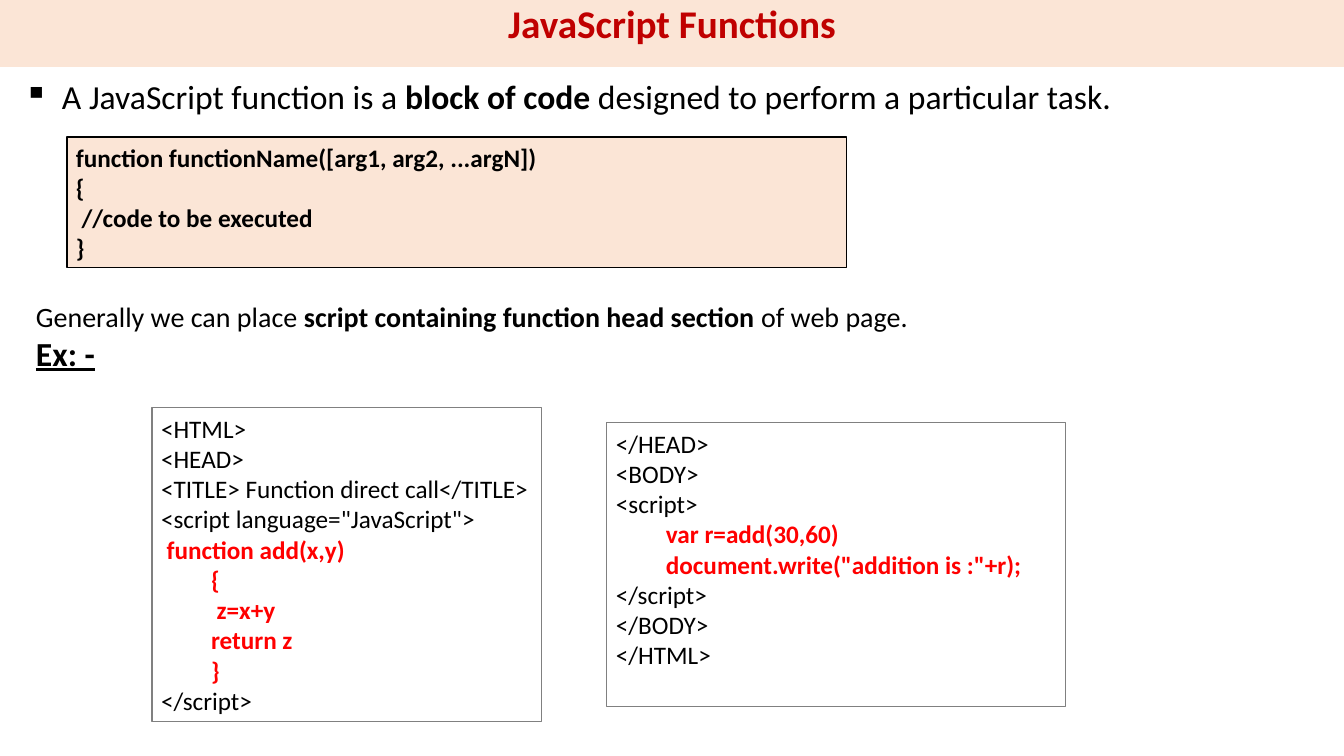
from lxml.etree import SubElement
from pptx import Presentation
from pptx.dml.color import RGBColor
from pptx.enum.shapes import MSO_SHAPE
from pptx.enum.text import MSO_ANCHOR, PP_ALIGN
from pptx.oxml.ns import qn
from pptx.util import Pt

SCALE = 914400 / 100.8
HUES = {"black": "000000", "peach": "FBE5D6", "gray": "808080",
        "red": "FF0000", "title": "C00000"}


def px(n):
    return round(n * SCALE)


def hue(name):
    return RGBColor.from_string(HUES[name])


class Deck:
    font = "Calibri"

    def __init__(self, wide, high):
        self.file = Presentation()
        self.file.slide_width, self.file.slide_height = px(wide), px(high)
        self.slide = self.file.slides.add_slide(self.file.slide_layouts[6])

    def frame(self, shape, anchor):
        body = shape.text_frame
        body.word_wrap = True
        body.vertical_anchor = anchor
        body.margin_left = body.margin_right = px(9)
        body.margin_top = body.margin_bottom = px(5)
        return body

    def text(self, *area, anchor=MSO_ANCHOR.TOP):
        box = self.slide.shapes.add_textbox(*map(px, area))
        return self.frame(box, anchor)

    def rect(self, *area, fill=None, line=None):
        box = self.slide.shapes.add_shape(MSO_SHAPE.RECTANGLE, *map(px, area))
        box.shadow.inherit = False
        if fill:
            box.fill.solid()
            box.fill.fore_color.rgb = hue(fill)
        else:
            box.fill.background()
        if line:
            box.line.color.rgb = hue(line)
            box.line.width = Pt(0.75)
        else:
            box.line.fill.background()
        return self.frame(box, MSO_ANCHOR.TOP)

    def para(self, body, left=0, first=0, align=PP_ALIGN.LEFT):
        para = body.paragraphs[0]
        if para.runs:
            para = body.add_paragraph()
        para.alignment = align
        props = para._p.get_or_add_pPr()
        props.set("marL", str(px(left)))
        props.set("indent", str(px(first)))
        return para

    def run(self, para, words, size=18, color="black", bold=False, under=False):
        run = para.add_run()
        run.text = words
        font = run.font
        font.name, font.size, font.bold = self.font, Pt(size), bold
        font.color.rgb = hue(color)
        if under:
            font.underline = True

    def bullet(self, para, mark):
        SubElement(para._p.get_or_add_pPr(), qn("a:buChar")).set("char", mark)

    def code(self, body, lines):
        for words, step, hot in lines:
            para = self.para(body, left=50 * step)
            self.run(para, words, color="red" if hot else "black", bold=hot)

    def save(self):
        self.file.save("out.pptx")


deck = Deck(1344, 756)

intro = deck.para(deck.text(15, 71, 1292, 49), left=38, first=-38)
deck.bullet(intro, "▪")
for words, bold in [("A JavaScript function is a ", False),
                    ("block of code ", True),
                    ("designed to perform a particular task.", False)]:
    deck.run(intro, words, 24, bold=bold)

syntax = deck.rect(67, 137, 780, 131, fill="peach", line="black")
for words in ["function functionName([arg1, arg2, ...argN])", "{",
              " //code to be executed", "}"]:
    deck.run(deck.para(syntax), words, bold=True)

note = deck.text(27, 294, 1006, 84, anchor=MSO_ANCHOR.MIDDLE)
advice = deck.para(note)
for words, bold in [("Generally we can place ", False),
                    ("script containing function head section", True),
                    (" of web page.", False)]:
    deck.run(advice, words, 20, bold=bold)
deck.run(deck.para(note), "Ex: -", 24, bold=True, under=True)

deck.code(deck.rect(607, 423, 459, 284, line="gray"), [
    ("</HEAD>", 0, False),
    ("<BODY>", 0, False),
    ("<script>", 0, False),
    ("var r=add(30,60)", 1, True),
    ('document.write("addition is :"+r);', 1, True),
    ("</script>", 0, False),
    ("</BODY>", 0, False),
    ("</HTML>", 0, False),
])

head = deck.rect(152, 408, 390, 314, line="gray")
head.word_wrap = False
deck.code(head, [
    ("<HTML>", 0, False),
    ("<HEAD>", 0, False),
    ("<TITLE> Function direct call</TITLE>", 0, False),
    ('<script language="JavaScript">', 0, False),
    (" function add(x,y)", 0, True),
    ("{", 1, True),
    (" z=x+y", 1, True),
    ("return z", 1, True),
    ("}", 1, True),
    ("</script>", 0, False),
])

title = deck.para(deck.rect(0, 0, 1344, 67, fill="peach"), align=PP_ALIGN.CENTER)
title.line_spacing = 0.9
deck.run(title, "JavaScript Functions", 28, "title", bold=True)

deck.save()
